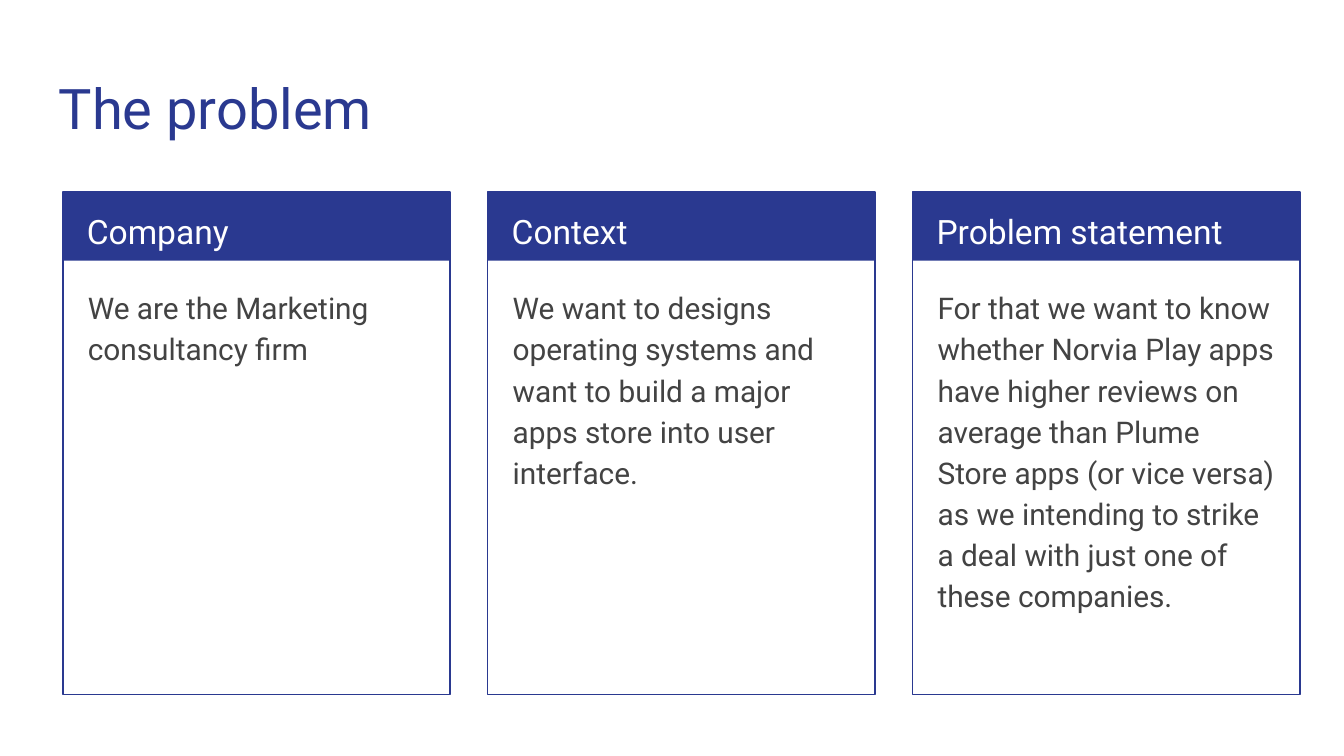
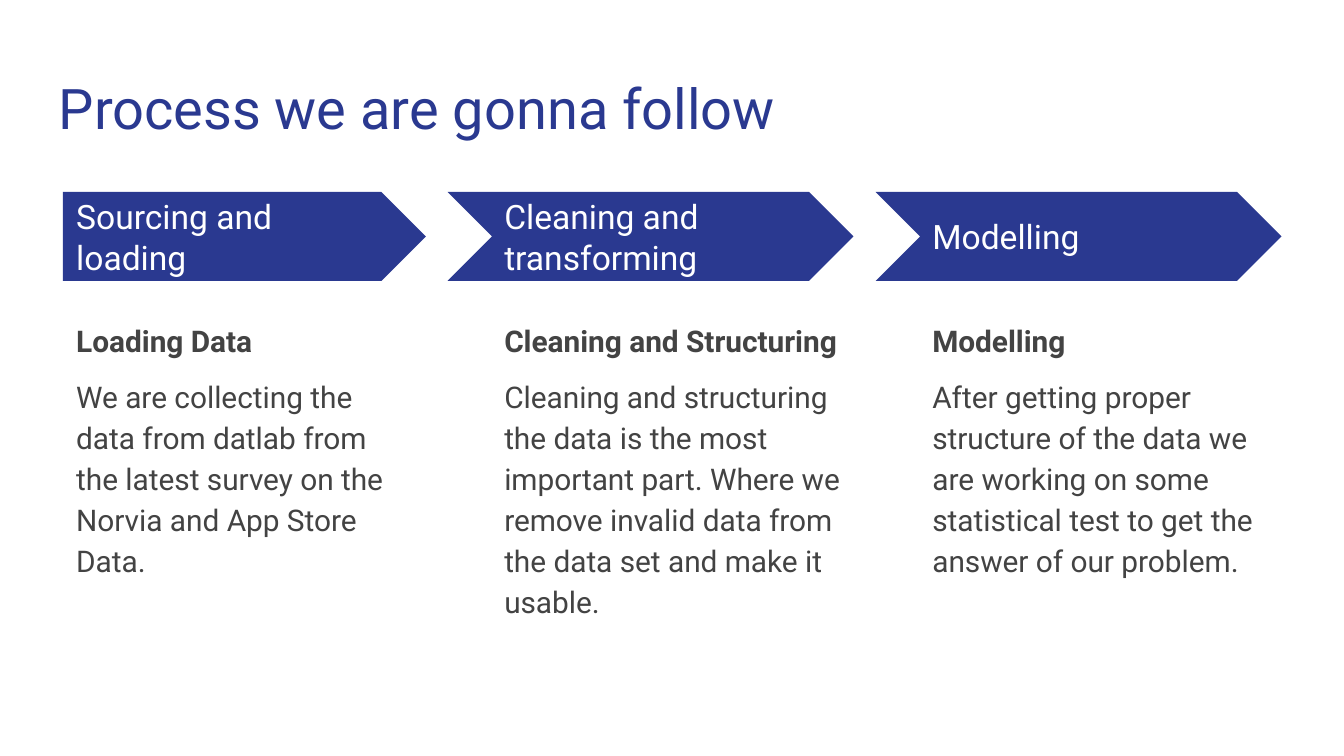
from copy import deepcopy

from lxml import etree
from pptx import Presentation
from pptx.dml.color import RGBColor
from pptx.enum.shapes import MSO_SHAPE
from pptx.enum.text import MSO_ANCHOR, MSO_AUTO_SIZE, PP_ALIGN
from pptx.oxml.ns import qn
from pptx.util import Cm, Pt

RECTANGLE = MSO_SHAPE.RECTANGLE
PENTAGON = MSO_SHAPE.PENTAGON
CHEVRON = MSO_SHAPE.CHEVRON
TOP, MIDDLE = MSO_ANCHOR.TOP, MSO_ANCHOR.MIDDLE
NO_AUTOFIT = MSO_AUTO_SIZE.NONE
LEFT = PP_ALIGN.LEFT

FONT = "Roboto"
BLUE, GREY, WHITE = "2A3990", "434343", "FFFFFF"
BODY_COUNT = 6

CARDS = [
    ("Company", "We are the Marketing consultancy firm"),
    ("Context", "We want to designs operating systems and want to build a major "
                "apps store into user interface."),
    ("Problem statement",
     "For that we want to know whether Norvia Play apps have higher reviews on "
     "average than Plume Store apps (or vice versa) as we intending to strike "
     "a deal with just one of these companies."),
]
STEPS = [
    ("Sourcing and loading", "Loading Data",
     "We are collecting the data from datlab from the latest survey on the "
     "Norvia and App Store Data."),
    ("Cleaning and transforming", "Cleaning and Structuring",
     "Cleaning and structuring the data is the most important part. Where we "
     "remove invalid data from the data set and make it usable."),
    ("Modelling", "Modelling",
     "After getting proper structure of the data we are working on some "
     "statistical test to get the answer of our problem."),
]


def color(value):
    return RGBColor.from_string(value)


def prepare_layout(layout):
    """Give the layout one body placeholder for each text on a slide."""
    body = layout.placeholders.get(idx=1).element
    body.xpath(".//p:ph")[0].set("type", "body")
    for number in range(1, BODY_COUNT):
        extra = deepcopy(body)
        extra.xpath(".//p:cNvPr")[0].set("id", str(100 + number))
        extra.xpath(".//p:ph")[0].set("idx", str(20 + number))
        body.getparent().append(extra)


class Builder:
    def __init__(self):
        self.deck = Presentation()
        self.deck.slide_width, self.deck.slide_height = Cm(25.4), Cm(14.29)
        self.layout = self.deck.slide_layouts[1]
        prepare_layout(self.layout)

    def start_page(self, title):
        self.page = self.deck.slides.add_slide(self.layout)
        fill = self.page.background.fill
        fill.solid()
        fill.fore_color.rgb = color(WHITE)
        heading = self.page.shapes.title
        self.bodies = [box for box in self.page.placeholders
                       if box.placeholder_format.idx > 0]
        self.place(heading, 0.86, 1.14, 23.67, 1.68)
        self.set_text(heading.text_frame.paragraphs[0], title, 30, BLUE)

    def place(self, box, left, top, width, height, anchor=TOP):
        box.left, box.top = Cm(left), Cm(top)
        box.width, box.height = Cm(width), Cm(height)
        frame = box.text_frame
        frame.word_wrap = True
        frame.auto_size = NO_AUTOFIT
        frame.vertical_anchor = anchor
        frame.margin_left = frame.margin_right = Cm(0.25)
        frame.margin_top = frame.margin_bottom = Cm(0.25)

    def set_text(self, para, text, size, ink, bold=False, spacing=1.0, before=0, after=0):
        para.text = text
        para.alignment = LEFT
        para.line_spacing = spacing
        para.space_before, para.space_after = Pt(before), Pt(after)
        para.font.name, para.font.size = FONT, Pt(size)
        para.font.bold = bold
        para.font.color.rgb = color(ink)
        properties = para._p.get_or_add_pPr()
        properties.set("marL", "0")
        properties.set("indent", "0")
        no_bullet = etree.Element(qn("a:buNone"))
        properties.find(qn("a:defRPr")).addprevious(no_bullet)

    def body(self, left, top, width, height, anchor=TOP):
        """Move the next free body placeholder to the front and return its frame."""
        box = self.bodies.pop(0)
        box.element.getparent().append(box.element)
        self.place(box, left, top, width, height, anchor)
        return box.text_frame

    def shape(self, kind, left, top, width, height, fill=None, line=None, parent=None):
        shapes = (parent or self.page).shapes
        shape = shapes.add_shape(kind, Cm(left), Cm(top), Cm(width), Cm(height))
        shape.shadow.inherit = False
        if fill:
            shape.fill.solid()
            shape.fill.fore_color.rgb = color(fill)
        else:
            shape.fill.background()
        if line:
            shape.line.color.rgb = color(line)
            shape.line.width = Pt(0.75)
        else:
            shape.line.fill.background()

    def card(self, left, heading, text):
        top, width = 3.63, 7.32
        group = self.page.shapes.add_group_shape()
        self.shape(RECTANGLE, left, top, width, 1.3, fill=BLUE, parent=group)
        self.shape(RECTANGLE, left, top, width, 9.5, line=BLUE, parent=group)
        frame = self.body(left + 0.2, top, 6.93, 1.27)
        self.set_text(frame.paragraphs[0], heading, 18, WHITE, spacing=1.15)
        frame = self.body(left + 0.22, 5.13, 6.88, 7.77)
        self.set_text(frame.paragraphs[0], text, 16, GREY, spacing=1.15, after=16)

    def step(self, left, label, heading, text, first):
        if first:
            self.shape(PENTAGON, left, 3.63, 6.86, 1.68, fill=BLUE)
        else:
            self.shape(CHEVRON, left - 0.82, 3.63, 7.67, 1.68, fill=BLUE)
        frame = self.body(left, 4.04, 6.27, 0.86, MIDDLE)
        self.set_text(frame.paragraphs[0], label, 18, WHITE)
        frame = self.body(left, 5.74, 6.86, 7.37)
        self.set_text(frame.paragraphs[0], heading, 16, GREY, bold=True, spacing=1.15)
        self.set_text(frame.add_paragraph(), text, 16, GREY, spacing=1.15, before=8, after=8)


def main():
    builder = Builder()
    builder.start_page("The problem")
    for column, card in enumerate(CARDS):
        builder.card(1.19 + 8.03 * column, *card)
    builder.start_page("Process we are gonna follow")
    for column, step in enumerate(STEPS):
        builder.step(1.19 + 8.09 * column, *step, first=column == 0)
    builder.deck.save("out.pptx")


if __name__ == "__main__":
    main()
